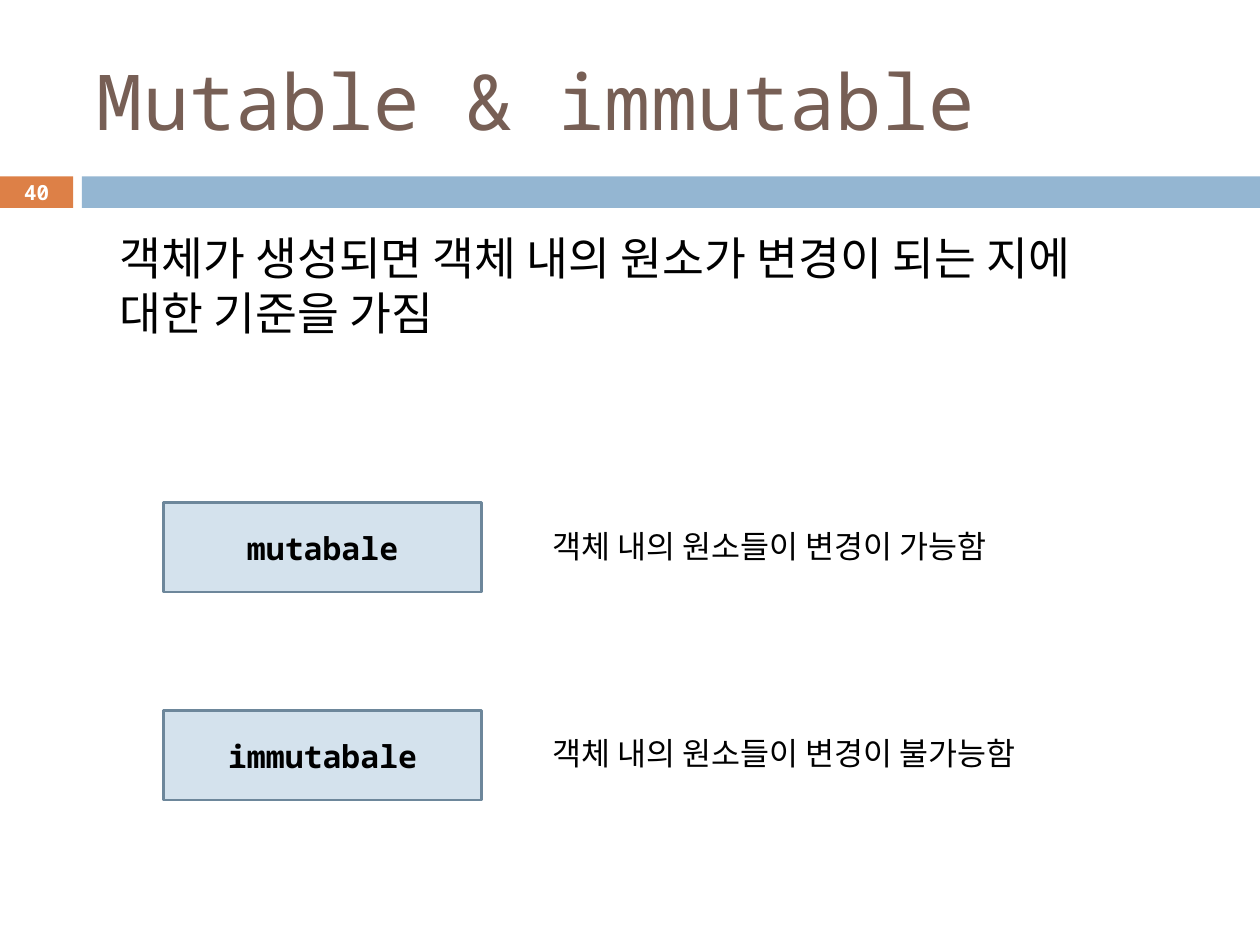
import dataclasses

import lxml.etree
import pptx
import pptx.dml.color
import pptx.enum.shapes
import pptx.enum.text
import pptx.oxml.ns
import pptx.util

Inches = pptx.util.Inches
Pt = pptx.util.Pt
Align = pptx.enum.text.PP_ALIGN
Anchor = pptx.enum.text.MSO_ANCHOR


@dataclasses.dataclass(frozen=True)
class Theme:
    font: str = "Noto Sans Mono"
    korean_font: str = "Noto Sans CJK KR"
    title: str = "775F55"
    text: str = "000000"
    white: str = "FFFFFF"
    accent: str = "DD8047"
    band: str = "94B6D2"
    label_fill: str = "D4E2ED"
    label_line: str = "6D879B"
    title_size: float = 44
    body_size: float = 26
    label_size: float = 18
    number_size: float = 11.9


THEME = Theme()


def rgb(value):
    return pptx.dml.color.RGBColor.from_string(value)


def write_text(shape, text, size, color=THEME.text, bold=False,
               align=Align.LEFT, anchor=Anchor.TOP):
    frame = shape.text_frame
    frame.word_wrap = True
    frame.vertical_anchor = anchor
    para = frame.paragraphs[0]
    para.alignment = align
    span = para.add_run()
    span.text = text
    span.font.name = THEME.font
    span.font.size = Pt(size)
    span.font.bold = bold
    span.font.color.rgb = rgb(color)
    east_asian = lxml.etree.SubElement(span.font._element, pptx.oxml.ns.qn("a:ea"))
    east_asian.set("typeface", THEME.korean_font)
    return para


def add_rectangle(page, left, top, width, height, fill, line=None):
    box = page.shapes.add_shape(
        pptx.enum.shapes.MSO_SHAPE.RECTANGLE,
        Inches(left), Inches(top), Inches(width), Inches(height))
    box.shadow.inherit = False
    box.fill.solid()
    box.fill.fore_color.rgb = rgb(fill)
    if line:
        box.line.color.rgb = rgb(line)
        box.line.width = Pt(1.5)
    else:
        box.line.fill.background()
    return box


def add_text_box(page, left, top, width, height):
    return page.shapes.add_textbox(
        Inches(left), Inches(top), Inches(width), Inches(height))


def add_header(page):
    add_rectangle(page, 0, 1.4, 0.58, 0.25, THEME.accent)
    add_rectangle(page, 0.65, 1.4, 9.35, 0.25, THEME.band)
    write_text(add_text_box(page, 0.67, 0.25, 8.92, 1.08), "Mutable & immutable",
               THEME.title_size, THEME.title, anchor=Anchor.MIDDLE)
    write_text(add_text_box(page, 0, 1.39, 0.58, 0.27), "40", THEME.number_size,
               THEME.white, True, Align.CENTER, Anchor.MIDDLE)


def add_summary(page, text):
    box = add_text_box(page, 0.5, 1.78, 9, 1.57)
    box.text_frame.margin_left = Inches(0.45)
    box.text_frame.margin_right = Inches(0.3)
    para = write_text(box, text, THEME.body_size)
    para.space_before = Pt(5.5)


def add_definition(page, top, term, meaning):
    label = add_rectangle(page, 1.3, top, 2.52, 0.71,
                          THEME.label_fill, THEME.label_line)
    write_text(label, term, THEME.label_size, bold=True,
               align=Align.CENTER, anchor=Anchor.MIDDLE)
    write_text(add_text_box(page, 4.29, top + 0.14, 4.57, 0.4),
               meaning, THEME.label_size)


def main():
    deck = pptx.Presentation()
    deck.slide_width = Inches(10)
    deck.slide_height = Inches(7.5)
    page = deck.slides.add_slide(deck.slide_layouts[6])
    add_header(page)
    add_summary(page, "객체가 생성되면 객체 내의 원소가 변경이 되는 지에 대한 기준을 가짐")
    definitions = [
        ("mutabale", "객체 내의 원소들이 변경이 가능함"),
        ("immutabale", "객체 내의 원소들이 변경이 불가능함"),
    ]
    for row, (term, meaning) in enumerate(definitions):
        add_definition(page, 3.99 + 1.65 * row, term, meaning)
    deck.save("out.pptx")


if __name__ == "__main__":
    main()
